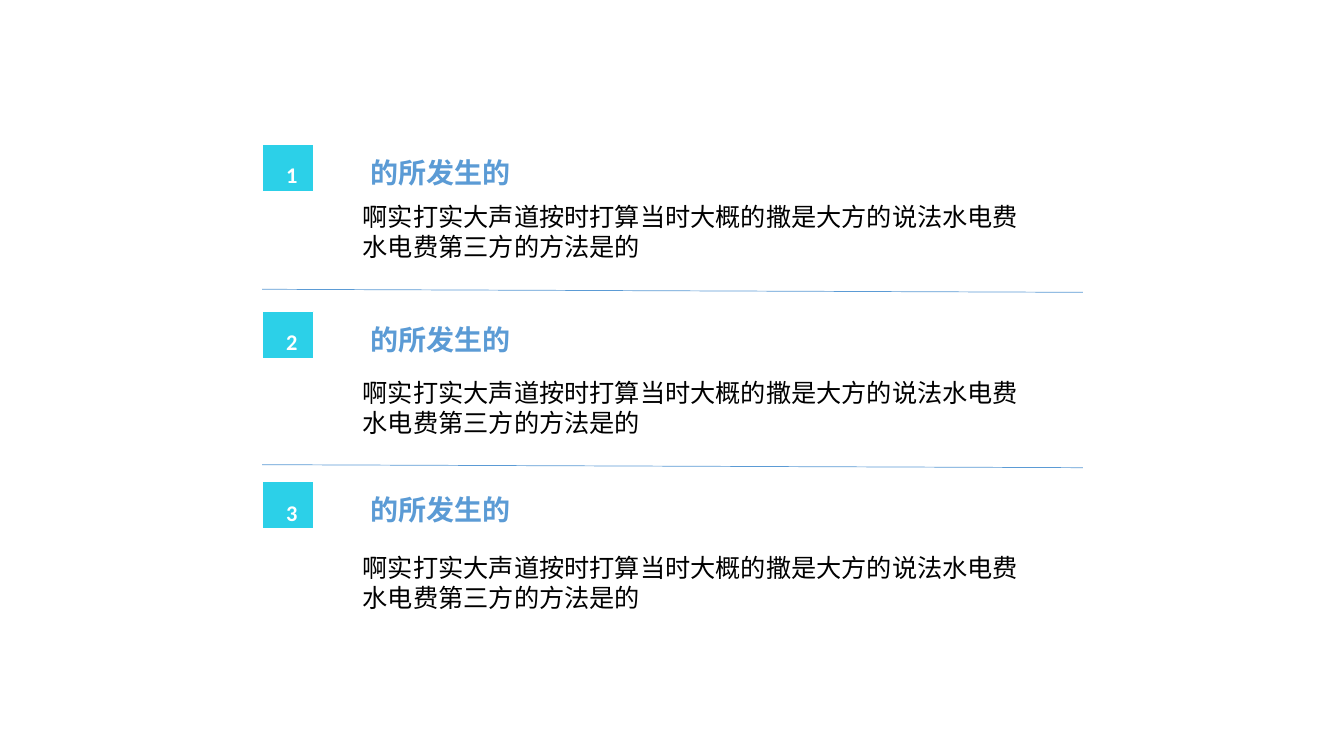
from dataclasses import dataclass

from pptx import Presentation
from pptx.dml.color import RGBColor
from pptx.enum.shapes import MSO_CONNECTOR, MSO_SHAPE
from pptx.enum.text import MSO_AUTO_SIZE, PP_ALIGN
from pptx.oxml.ns import qn
from pptx.util import Inches, Pt

PROCESS = MSO_SHAPE.FLOWCHART_PROCESS
STRAIGHT = MSO_CONNECTOR.STRAIGHT
GROW = MSO_AUTO_SIZE.SHAPE_TO_FIT_TEXT
LEFT, CENTER = PP_ALIGN.LEFT, PP_ALIGN.CENTER


@dataclass(frozen=True)
class Theme:
    font = "Calibri"
    cyan = RGBColor.from_string("2CD0E8")
    blue = RGBColor.from_string("5B9BD5")
    white = RGBColor.from_string("FFFFFF")
    black = RGBColor.from_string("000000")
    number_size = Pt(16)
    heading_size = Pt(20)
    body_size = Pt(18)


theme = Theme()

# Grid, in inches
BADGE_COLUMN, NUMBER_COLUMN, TEXT_COLUMN, RIGHT_EDGE = 2.6, 2.74, 3.5, 10.74
BADGE_ROWS = (1.43, 3.09, 4.78)
BODY_TOP, RULE_TOP, BODY_PITCH = 1.95, 2.87, 1.74
RULE_DROP = 0.03

HEADING = "的所发生的"
BODY = "啊实打实大声道按时打算当时大概的撒是大方的说法水电费水电费第三方的方法是的"

deck = Presentation()
deck.slide_width, deck.slide_height = Inches(13.33), Inches(7.5)
page = deck.slides.add_slide(deck.slide_layouts[6])


def add_text(text, left, top, width, height, size, color, bold, align):
    box = page.shapes.add_textbox(*map(Inches, (left, top, width, height)))
    frame = box.text_frame
    frame.word_wrap = True
    frame.auto_size = GROW
    frame.text = text
    para = frame.paragraphs[0]
    para.alignment = align
    font = para.runs[0].font
    font.name, font.size, font.bold = theme.font, size, bold
    font.color.rgb = color


for index, badge_top in enumerate(BADGE_ROWS):
    body_shift = index * BODY_PITCH

    # Numbered badge
    badge = page.shapes.add_shape(
        PROCESS, *map(Inches, (BADGE_COLUMN, badge_top, 0.51, 0.47)))
    badge.shadow.inherit = False
    badge.fill.solid()
    badge.fill.fore_color.rgb = theme.cyan
    badge.line.color.rgb = theme.white
    badge.line.width = Pt(1)
    add_text(str(index + 1), NUMBER_COLUMN, badge_top + 0.12, 0.23, 0.23,
             theme.number_size, theme.white, True, CENTER)

    # Heading and body
    add_text(HEADING, TEXT_COLUMN, badge_top + 0.06, 1.74, 0.34,
             theme.heading_size, theme.blue, True, CENTER)
    add_text(BODY, TEXT_COLUMN, BODY_TOP + body_shift, 6.9, 0.7,
             theme.body_size, theme.black, False, LEFT)

    # Rule between entries
    if index < len(BADGE_ROWS) - 1:
        rule_top = RULE_TOP + body_shift
        rule = page.shapes.add_connector(
            STRAIGHT, *map(Inches, (BADGE_COLUMN, rule_top,
                                    RIGHT_EDGE, rule_top + RULE_DROP)))
        rule.line.color.rgb = theme.blue
        rule.line.width = Pt(0.5)
        properties = rule._element.spPr
        properties.append(properties.makeelement(qn("a:effectLst"), {}))

deck.save("out.pptx")
